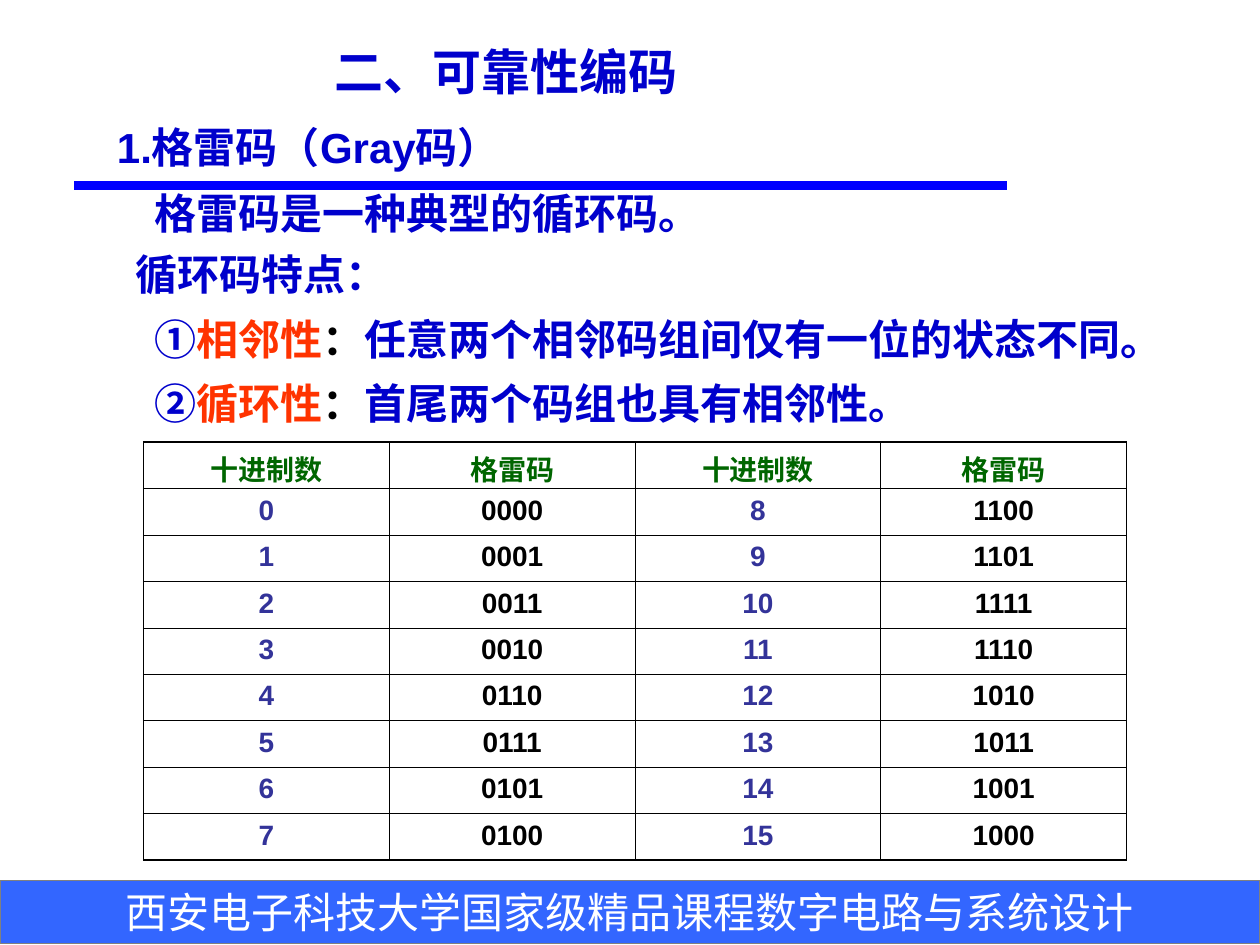
import pptx
import pptx.util
import pptx.dml.color
import pptx.enum.shapes
import pptx.enum.text
import pptx.oxml.ns
from lxml import etree

W, H = 10, 7.5
BLUE, RED, BLACK, WHITE = "0000CC", "FF3300", "000000", "FFFFFF"
GREEN, INDIGO = "006600", "333399"
CENTER = pptx.enum.text.PP_ALIGN.CENTER
IN, PT = pptx.util.Inches, pptx.util.Pt
GRAY_CODES = [format(n ^ (n >> 1), "04b") for n in range(16)]


def rgb(color):
    return pptx.dml.color.RGBColor.from_string(color)


def add_run(p, text, size, color, bold=True):
    r = p.add_run()
    r.text = text
    r.font.name = "Arial"
    r.font.size = PT(size)
    r.font.bold = bold
    r.font.color.rgb = rgb(color)


def add_text(s, box, paragraphs, size=24, spacing=1.0):
    """Each paragraph is (left indent in inches, [(text, color), ...])."""
    tf = s.shapes.add_textbox(*map(IN, box)).text_frame
    tf.word_wrap = True
    for i, (indent, runs) in enumerate(paragraphs):
        p = tf.paragraphs[0] if i == 0 else tf.add_paragraph()
        p.line_spacing = spacing
        if i:
            p.space_before = PT(15)
        if indent:
            p._p.get_or_add_pPr().set("marL", str(IN(indent)))
        for text, color in runs:
            add_run(p, text, size, color)


def add_rule(s, x1, x2, y):
    line = s.shapes.add_connector(pptx.enum.shapes.MSO_CONNECTOR.STRAIGHT,
                                  IN(x1), IN(y), IN(x2), IN(y))
    line.line.color.rgb = rgb("0000FF")
    line.line.width = PT(5)
    etree.SubElement(line._element.spPr, pptx.oxml.ns.qn("a:effectLst"))


def add_footer(s, text):
    sp = s.shapes.add_shape(pptx.enum.shapes.MSO_SHAPE.RECTANGLE,
                            0, IN(6.99), IN(W), IN(0.5))
    sp.shadow.inherit = False
    sp.fill.solid()
    sp.fill.fore_color.rgb = rgb("3366FF")
    sp.line.color.rgb = rgb("808080")
    sp.line.width = PT(0.75)
    tf = sp.text_frame
    tf.vertical_anchor = pptx.enum.text.MSO_ANCHOR.TOP
    p = tf.paragraphs[0]
    p.alignment = CENTER
    add_run(p, text, 24, WHITE, bold=False)


def set_borders(cell, outer):
    """Draw all four sides, thicker on those named in outer."""
    tcPr = cell._tc.get_or_add_tcPr()
    for i, side in enumerate("LRTB"):
        ln = etree.Element(pptx.oxml.ns.qn("a:ln" + side),
                           w=str(PT(1.08 if side in outer else 0.45)))
        fill = etree.SubElement(ln, pptx.oxml.ns.qn("a:solidFill"))
        etree.SubElement(fill, pptx.oxml.ns.qn("a:srgbClr"), val=BLACK)
        tcPr.insert(i, ln)


def add_code_table(s, box, rows):
    n_rows, n_cols = len(rows), len(rows[0])
    table = s.shapes.add_table(n_rows, n_cols, *map(IN, box)).table
    table.first_row = table.horz_banding = False
    for i, row in enumerate(rows):
        table.rows[i].height = IN(box[3] / n_rows)
        for j, text in enumerate(row):
            cell = table.cell(i, j)
            cell.fill.background()
            outer = ("L" * (j == 0) + "R" * (j == n_cols - 1)
                     + "T" * (i == 0) + "B" * (i == n_rows - 1))
            set_borders(cell, outer)
            p = cell.text_frame.paragraphs[0]
            p.alignment = CENTER
            color = GREEN if i == 0 else (INDIGO, BLACK)[j % 2]
            add_run(p, text, 16, color)


def feature(number, name, description):
    return (0.15, [(number, BLUE), (name, RED), ("：", BLACK),
                   (description, BLUE)])


def main():
    prs = pptx.Presentation()
    prs.slide_width, prs.slide_height = IN(W), IN(H)
    s = prs.slides.add_slide(prs.slide_layouts[6])

    # Footer band and heading rule
    add_footer(s, "西安电子科技大学国家级精品课程数字电路与系统设计")
    add_rule(s, 0.59, 7.99, 1.47)

    # Title, heading and features
    add_text(s, (2.56, 0.28, 4.49, 0.57),
             [(0, [("二、可靠性编码", BLUE)])], size=28)
    add_text(s, (0.83, 0.99, 8.58, 0.95),
             [(0, [("1.格雷码（Gray码）", BLUE)]),
              (0.3, [("格雷码是一种典型的循环码。", BLUE)])], spacing=0.8)
    add_text(s, (0.98, 2.02, 8.74, 1.42),
             [(0, [("循环码特点：", BLUE)]),
              feature("①", "相邻性", "任意两个相邻码组间仅有一位的状态不同。"),
              feature("②", "循环性", "首尾两个码组也具有相邻性。")],
             spacing=0.75)

    # Gray code table: 0-7 on the left, 8-15 on the right
    rows = [["十进制数", "格雷码"] * 2]
    rows += [[str(n), GRAY_CODES[n], str(n + 8), GRAY_CODES[n + 8]]
             for n in range(8)]
    add_code_table(s, (1.14, 3.51, 7.8, 3.32), rows)

    prs.save("out.pptx")


if __name__ == "__main__":
    main()
